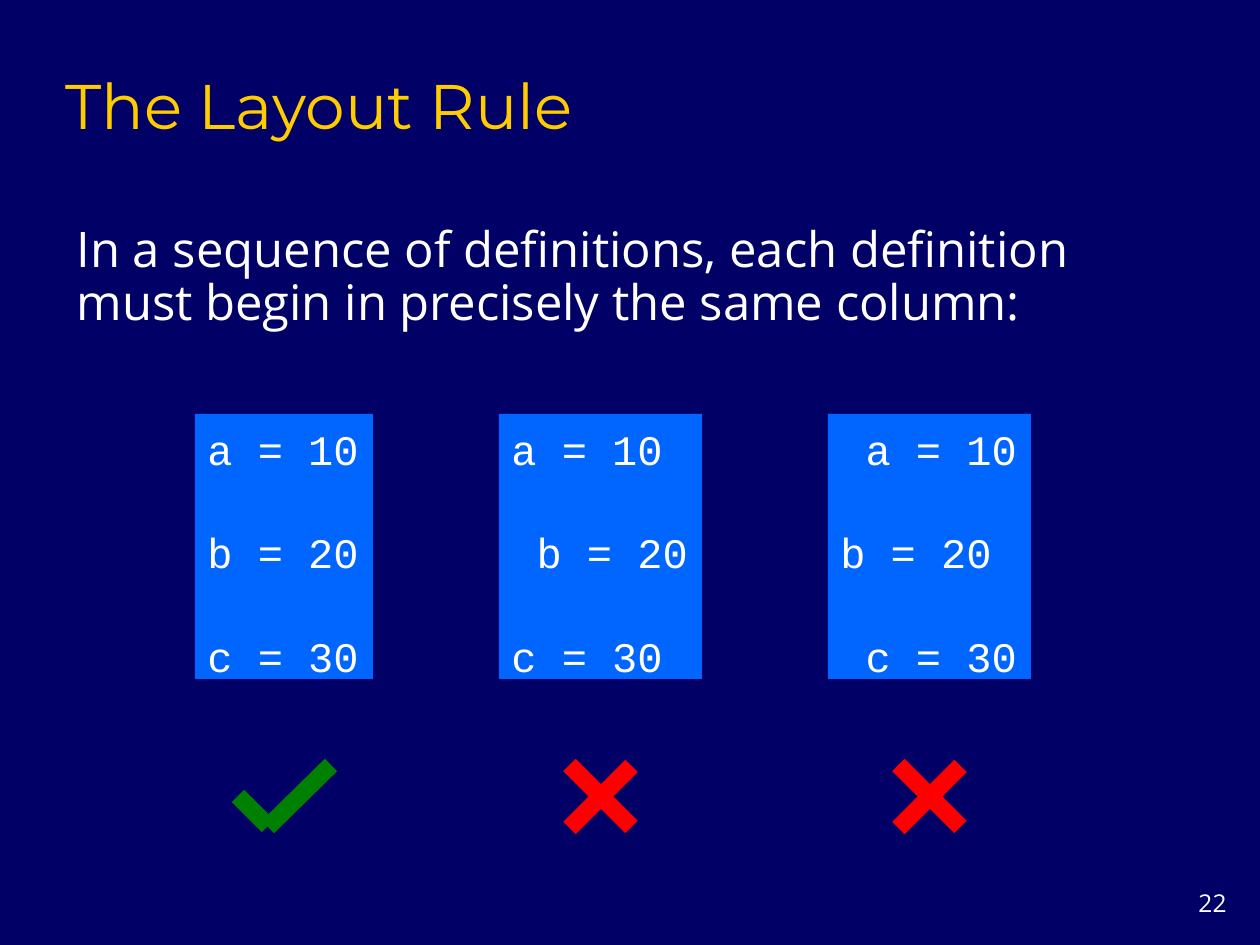
from dataclasses import dataclass

from lxml.etree import SubElement
from pptx import Presentation
from pptx.dml.color import RGBColor
from pptx.enum.shapes import MSO_CONNECTOR, MSO_SHAPE
from pptx.enum.text import MSO_ANCHOR, MSO_AUTO_SIZE, PP_ALIGN
from pptx.oxml.ns import qn
from pptx.util import Emu, Inches, Pt

COLORS = {
    "background": "000066",
    "title": "FFCC00",
    "text": "FFFFFF",
    "code_box": "0066FF",
    "right": "008000",
    "wrong": "FF0000",
}
PX = Inches(1) / 126

# Mark strokes: (x1, y1, x2, y2), x measured from the middle of the code box.
CHECK = [(47, 765, -16, 827), (-46, 796, -16, 826)]
CROSS = [(-31, 765, 31, 827), (31, 766, -31, 828)]


@dataclass
class Example:
    left: int
    width: int
    lines: tuple[str, ...]
    strokes: list[tuple[int, int, int, int]]
    color: str


EXAMPLES = [
    Example(195, 178, ("a = 10", "b = 20", "c = 30"), CHECK, "right"),
    Example(499, 203, ("a = 10", " b = 20", "c = 30"), CROSS, "wrong"),
    Example(828, 203, (" a = 10", "b = 20", " c = 30"), CROSS, "wrong"),
]


def px(length: float) -> Emu:
    return Emu(round(length * PX))


def rgb(name: str) -> RGBColor:
    return RGBColor.from_string(COLORS[name])


def place(shape, left: int, top: int, width: int, height: int) -> None:
    shape.left, shape.top = px(left), px(top)
    shape.width, shape.height = px(width), px(height)


def write(shape, lines, font: str, size: int, color: str = "text",
          align=PP_ALIGN.LEFT, anchor=MSO_ANCHOR.MIDDLE, wrap: bool = True) -> None:
    frame = shape.text_frame
    frame.text = "\n".join(lines)
    frame.word_wrap = wrap
    frame.auto_size = MSO_AUTO_SIZE.NONE
    frame.vertical_anchor = anchor
    for paragraph in frame.paragraphs:
        paragraph.alignment = align
        paragraph.space_before = Pt(0)
        paragraph.font.name = font
        paragraph.font.size = Pt(size)
        paragraph.font.color.rgb = rgb(color)


def add_code_box(slide, example: Example) -> None:
    box = slide.shapes.add_shape(
        MSO_SHAPE.RECTANGLE, px(example.left), px(414), px(example.width), px(265))
    box.shadow.inherit = False
    box.fill.solid()
    box.fill.fore_color.rgb = rgb("code_box")
    box.line.fill.background()
    write(box, example.lines, "Courier New", 24, wrap=False)
    box.text_frame.margin_top, box.text_frame.margin_bottom = px(12), px(1)
    for paragraph in box.text_frame.paragraphs[1:]:
        paragraph.space_before = Pt(30.5)


def add_mark(slide, example: Example) -> None:
    middle = example.left + example.width / 2
    for x1, y1, x2, y2 in example.strokes:
        stroke = slide.shapes.add_connector(
            MSO_CONNECTOR.STRAIGHT, px(middle + x1), px(y1), px(middle + x2), px(y2))
        stroke.line.color.rgb = rgb(example.color)
        stroke.line.width = Pt(10)
        SubElement(stroke._element.spPr, qn("a:effectLst"))


def main() -> None:
    presentation = Presentation()
    presentation.slide_width, presentation.slide_height = px(1260), px(945)
    slide = presentation.slides.add_slide(presentation.slide_layouts[1])
    slide.background.fill.solid()
    slide.background.fill.fore_color.rgb = rgb("background")

    title = slide.shapes.title
    place(title, 53, 53, 1071, 95)
    write(title, ["The Layout Rule"], "Montserrat", 36, "title",
          anchor=MSO_ANCHOR.BOTTOM)

    body = slide.placeholders[1]
    place(body, 64, 213, 1138, 130)
    write(body, ["In a sequence of definitions, each definition "
                 "must begin in precisely the same column:"], "Open Sans", 28)
    rule = body.text_frame.paragraphs[0]
    rule.line_spacing = 0.9
    rule.space_before = Pt(7)
    properties = rule._p.get_or_add_pPr()
    properties.set("marL", "0")
    properties.set("indent", "0")
    SubElement(properties, qn("a:buNone"))
    # Bullet settings must precede the default run properties.
    properties.append(properties.find(qn("a:defRPr")))

    for example in EXAMPLES:
        add_code_box(slide, example)
        add_mark(slide, example)

    number = slide.shapes.add_textbox(px(1155), px(882), px(84), px(42))
    write(number, ["22"], "Open Sans", 14, align=PP_ALIGN.RIGHT,
          anchor=MSO_ANCHOR.TOP)

    presentation.save("out.pptx")


if __name__ == "__main__":
    main()
